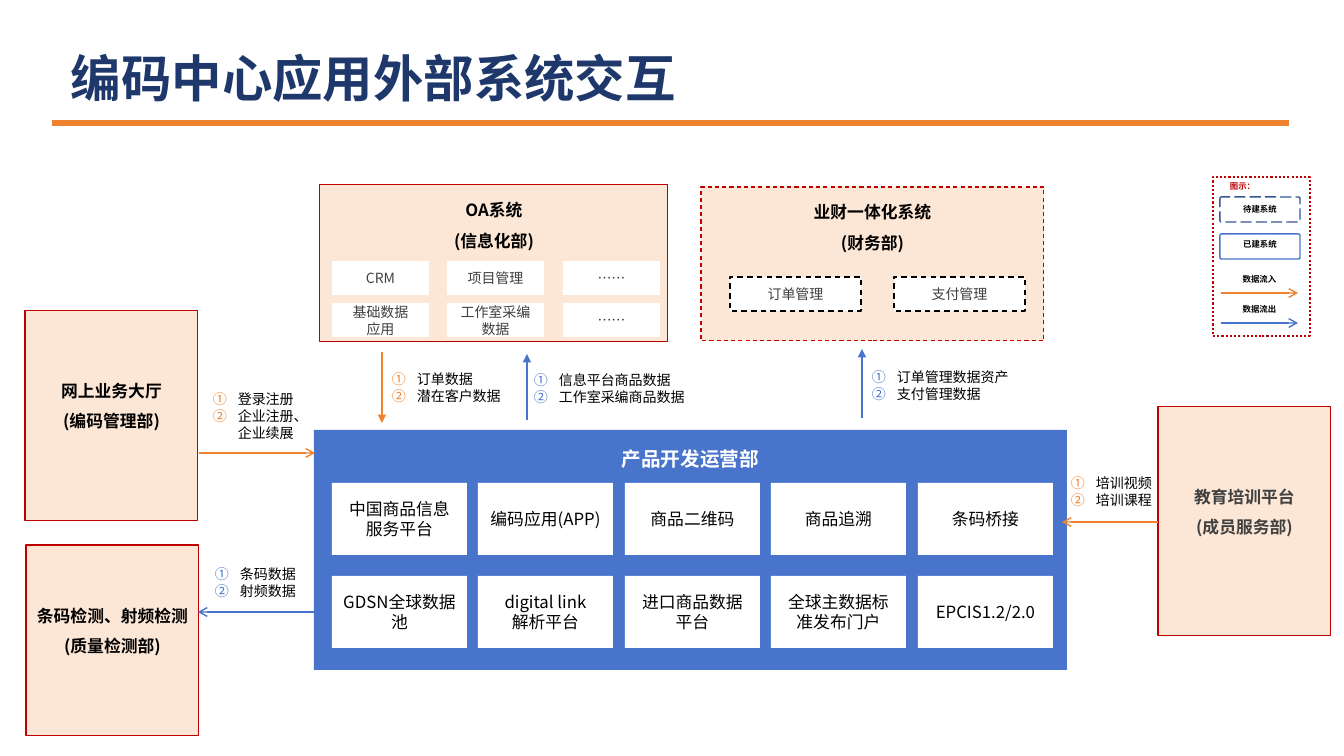
from lxml import etree
from pptx import Presentation
from pptx.dml.color import RGBColor
from pptx.enum.dml import MSO_LINE_DASH_STYLE as Dash
from pptx.enum.shapes import MSO_CONNECTOR as Connector, MSO_SHAPE as Shape
from pptx.enum.text import MSO_ANCHOR as Anchor, PP_ALIGN as Align
from pptx.oxml.ns import qn
from pptx.util import Pt

EMU_PER_PX = 914400 / 100.8
FONT = "Noto Sans CJK SC"
COLORS = {
    "navy": "1E386B", "orange": "EE822F", "blue": "4874CB", "deep_blue": "355696",
    "red": "C00000", "peach": "FCE6D5", "white": "FFFFFF", "black": "000000",
    "gray": "404040",
}


def px(*lengths):
    return [round(length * EMU_PER_PX) for length in lengths]


def rgb(name):
    return RGBColor.from_string(COLORS[name])


def write(frame, text, size, color="black", bold=False, align=Align.CENTER,
          spacing=None, anchor=Anchor.MIDDLE, wrap=True, font=FONT):
    frame.text = text
    frame.word_wrap = wrap
    frame.vertical_anchor = anchor
    for paragraph in frame.paragraphs:
        paragraph.alignment = align
        if spacing:
            paragraph.line_spacing = spacing
        for run in paragraph.runs:
            run.font.size = Pt(size)
            run.font.bold = bold
            run.font.name = font
            run.font.color.rgb = rgb(color)
            east_asian = etree.SubElement(run.font._element, qn("a:ea"))
            east_asian.set("typeface", font)


def add_box(slide, place, fill=None, line=None, width=1, dash=None, kind=Shape.RECTANGLE):
    box = slide.shapes.add_shape(kind, *px(*place))
    box.shadow.inherit = False
    if fill:
        box.fill.solid()
        box.fill.fore_color.rgb = rgb(fill)
    else:
        box.fill.background()
    if line:
        box.line.color.rgb = rgb(line)
        box.line.width = Pt(width)
        if dash:
            box.line.dash_style = dash
    else:
        box.line.fill.background()
    return box


def add_label(slide, place, text, size, **style):
    label = slide.shapes.add_textbox(*px(*place))
    write(label.text_frame, text, size, **style)
    return label


def add_system(slide, place, text, color="black", dash=None, anchor=Anchor.MIDDLE):
    system = add_box(slide, place, "peach", "red", 0.75, dash)
    write(system.text_frame, text, 12, color, bold=True, spacing=1.5,
          anchor=anchor, wrap=False)
    if anchor == Anchor.MIDDLE:
        # The name sits one line above the middle
        system.text_frame.margin_bottom = px(35)[0]


def add_module(slide, place, text, size=10, color="gray", **outline):
    module = add_box(slide, place, "white", **outline)
    write(module.text_frame, text, size, color)


def add_line(slide, ends, color, width=1, head=None):
    line = slide.shapes.add_connector(Connector.STRAIGHT, *px(*ends))
    line.line.color.rgb = rgb(color)
    line.line.width = Pt(width)
    if head:
        etree.SubElement(line.line._get_or_add_ln(), qn("a:tailEnd")).set("type", head)
    etree.SubElement(line._element.spPr, qn("a:effectLst"))


def add_numbered(slide, place, text, color):
    numbered = add_label(slide, place, text, 10, align=Align.LEFT, anchor=Anchor.TOP)
    for paragraph in numbered.text_frame.paragraphs:
        properties = paragraph._p.get_or_add_pPr()
        indent = px(25)[0]
        properties.set("marL", str(indent))
        properties.set("indent", str(-indent))
        bullet_color = etree.SubElement(properties, qn("a:buClr"))
        etree.SubElement(bullet_color, qn("a:srgbClr")).set("val", COLORS[color])
        etree.SubElement(properties, qn("a:buAutoNum")).set("type", "circleNumDbPlain")


def add_legend(slide):
    add_box(slide, (1213, 177, 97, 159), line="red", width=1.5, dash=Dash.ROUND_DOT)
    add_label(slide, (1220, 176, 45, 20), "图示：", 6, color="red", bold=True,
              align=Align.LEFT, anchor=Anchor.TOP, wrap=False)
    for top, text, fill, line, dash, anchor in (
        (197, "待建系统", None, "deep_blue", Dash.LONG_DASH, Anchor.MIDDLE),
        (234, "已建系统", "white", "blue", None, Anchor.TOP),
    ):
        key = add_box(slide, (1220, top, 80, 25), fill, line, 1, dash, Shape.ROUNDED_RECTANGLE)
        key.adjustments[0] = 0.06
        write(key.text_frame, text, 6, bold=True, anchor=anchor)
    for top, text, color in ((269, "数据流入", "orange"), (299, "数据流出", "blue")):
        add_label(slide, (1221, top, 77, 20), text, 6, bold=True, anchor=Anchor.TOP)
        add_line(slide, (1221, top + 24, 1298, top + 24), color, head="arrow")


def main():
    deck = Presentation()
    deck.slide_width, deck.slide_height = px(1344, 756)
    slide = deck.slides.add_slide(deck.slide_layouts[6])

    # Title
    add_line(slide, (52, 123, 1289, 123), "orange", 4.5)
    title = add_label(slide, (71, 27, 1212, 100), "编码中心应用外部系统交互", 36,
                      color="navy", bold=True, align=Align.LEFT, font="DejaVu Sans")
    title.text_frame.margin_left = 0

    # Systems above
    add_system(slide, (320, 185, 348, 157), "OA系统\n(信息化部)", anchor=Anchor.TOP)
    oa_modules = (("CRM", "项目管理", "……"), ("基础数据\n应用", "工作室采编数据", "……"))
    for row, names in enumerate(oa_modules):
        for column, name in enumerate(names):
            add_module(slide, (332 + column * 231 // 2, 261 + row * 42, 97, 34), name)
    add_system(slide, (701, 187, 343, 154), "业财一体化系统\n(财务部)",
               dash=Dash.DASH, anchor=Anchor.TOP)
    for column, name in enumerate(("订单管理", "支付管理")):
        add_module(slide, (730 + column * 164, 277, 131, 34), name,
                   line="black", dash=Dash.DASH)

    # Systems at the sides
    add_system(slide, (25, 311, 173, 210), "网上业务大厅\n(编码管理部)")
    add_system(slide, (26, 545, 173, 191), "条码检测、射频检测\n(质量检测部)")
    add_system(slide, (1158, 407, 173, 229), "教育培训平台\n(成员服务部)", "gray")

    # Product department
    department = add_box(slide, (314, 430, 753, 240), "blue")
    write(department.text_frame, "产品开发运营部", 14, "white", bold=True,
          spacing=1.5, anchor=Anchor.TOP, wrap=False)
    products = (
        ("中国商品信息服务平台", "编码应用(APP)", "商品二维码", "商品追溯", "条码桥接"),
        ("GDSN全球数据池", "digital link\n解析平台", "进口商品数据平台",
         "全球主数据标准发布门户", "EPCIS1.2/2.0"),
    )
    for row, names in enumerate(products):
        for column, name in enumerate(names):
            add_module(slide, (332 + column * 586 // 4, 483 + row * 93, 135, 72),
                       name, 12, "black")

    # Data flows: arrow, arrowhead, colour, place of the list, list
    flows = (
        ((382, 352, 382, 423), "triangle", "orange", (382, 366, 136, 44),
         "订单数据\n潜在客户数据"),
        ((527, 420, 527, 354), "triangle", "blue", (524, 367, 173, 44),
         "信息平台商品数据\n工作室采编商品数据"),
        ((862, 418, 862, 349), "triangle", "blue", (862, 364, 164, 44),
         "订单管理数据资产\n支付管理数据"),
        ((199, 453, 315, 453), "arrow", "orange", (203, 386, 112, 60),
         "登录注册\n企业注册、企业续展"),
        ((314, 612, 198, 612), "arrow", "blue", (205, 561, 164, 44),
         "条码数据\n射频数据"),
        ((1158, 522, 1062, 522), "arrow", "orange", (1061, 470, 136, 44),
         "培训视频\n培训课程"),
    )
    for ends, head, color, place, text in flows:
        add_line(slide, ends, color, head=head)
        add_numbered(slide, place, text, color)

    add_legend(slide)
    deck.save("out.pptx")


if __name__ == "__main__":
    main()
